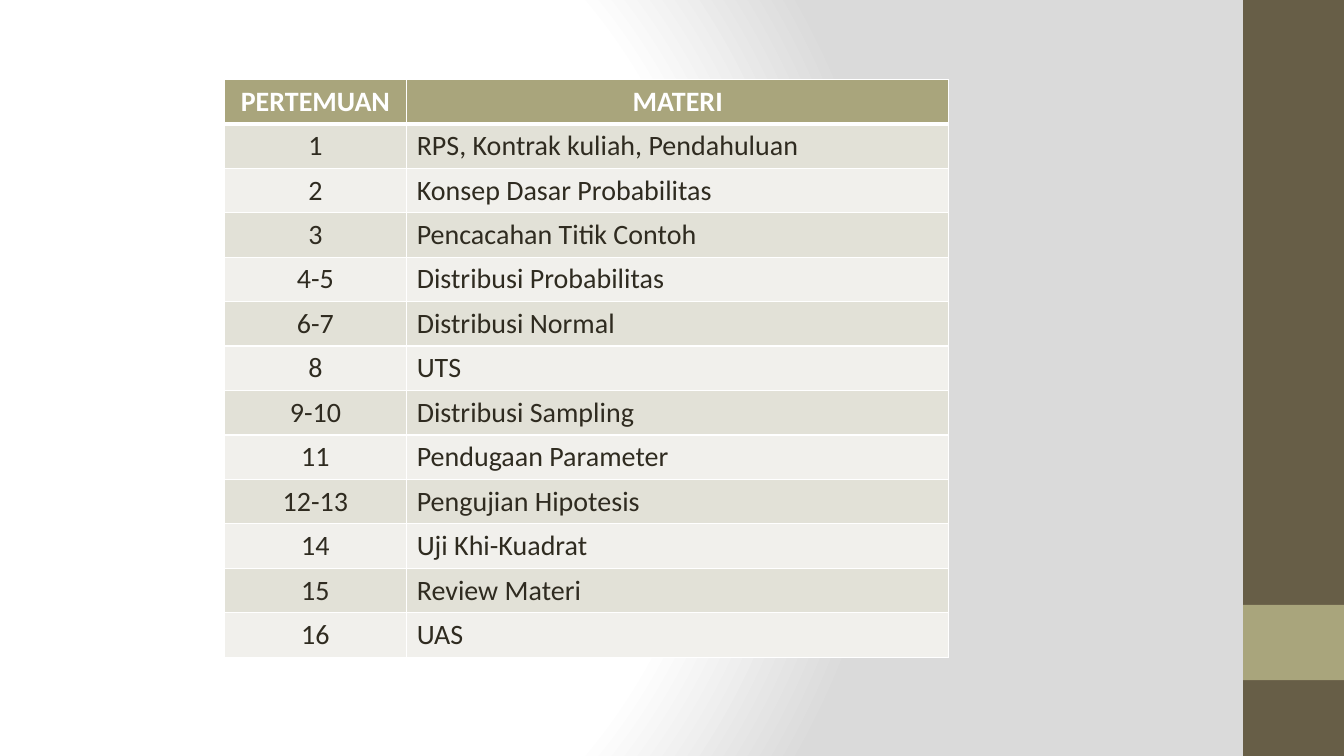
from dataclasses import dataclass

from lxml import etree
from pptx import Presentation
from pptx.dml.color import RGBColor
from pptx.enum.shapes import MSO_SHAPE
from pptx.enum.text import PP_ALIGN
from pptx.oxml import parse_xml
from pptx.oxml.ns import nsdecls, qn
from pptx.slide import Slide
from pptx.table import _Cell
from pptx.util import Cm, Pt

RECTANGLE = MSO_SHAPE.RECTANGLE
CENTER, LEFT = PP_ALIGN.CENTER, PP_ALIGN.LEFT

WHITE = RGBColor(0xFF, 0xFF, 0xFF)
GREY = RGBColor(0xDA, 0xDA, 0xDA)
BROWN = RGBColor(0x67, 0x5E, 0x47)
OLIVE = RGBColor(0xA9, 0xA5, 0x7C)
INK = RGBColor(0x2F, 0x2B, 0x20)
BANDS = (RGBColor(0xF1, 0xF0, 0xEC), RGBColor(0xE2, 0xE1, 0xD7))

FONT = "Calibri"
TEXT_SIZE = Pt(20)
THIN, THICK = Pt(1), Pt(3)

SLIDE_W, SLIDE_H = 33.87, 19.05
SIDEBAR_W = 2.54
TABLE_LEFT, TABLE_TOP = 5.65, 2.0
COL_WIDTHS = (4.6, 13.66)
ROW_H = 1.12


@dataclass
class Bar:
    top: float
    height: float
    color: RGBColor


@dataclass
class Meeting:
    number: str
    topic: str


BARS = [Bar(0, SLIDE_H, BROWN), Bar(15.24, 1.9, OLIVE)]

HEADER = Meeting("PERTEMUAN", "MATERI")
MEETINGS = [
    Meeting("1", "RPS, Kontrak kuliah, Pendahuluan"),
    Meeting("2", "Konsep Dasar Probabilitas"),
    Meeting("3", "Pencacahan Titik Contoh"),
    Meeting("4-5", "Distribusi Probabilitas"),
    Meeting("6-7", "Distribusi Normal"),
    Meeting("8", "UTS"),
    Meeting("9-10", "Distribusi Sampling"),
    Meeting("11", "Pendugaan Parameter"),
    Meeting("12-13", "Pengujian Hipotesis"),
    Meeting("14", "Uji Khi-Kuadrat"),
    Meeting("15", "Review Materi"),
    Meeting("16", "UAS"),
]


def set_radial_background(s: Slide) -> None:
    s.background.fill.gradient()
    old = s.element.find(".//" + qn("a:gradFill"))
    stops = "".join(
        f'<a:gs pos="{pos * 1000}"><a:srgbClr val="{color}"/></a:gs>'
        for pos, color in ((0, WHITE), (75, WHITE), (100, GREY))
    )
    new = parse_xml(
        f'<a:gradFill {nsdecls("a")} rotWithShape="1"><a:gsLst>{stops}</a:gsLst>'
        '<a:path path="circle">'
        '<a:fillToRect l="20000" t="50000" r="100000" b="50000"/>'
        "</a:path></a:gradFill>"
    )
    old.getparent().replace(old, new)


def add_bar(s: Slide, bar: Bar) -> None:
    sp = s.shapes.add_shape(
        RECTANGLE, Cm(SLIDE_W - SIDEBAR_W), Cm(bar.top), Cm(SIDEBAR_W), Cm(bar.height)
    )
    sp.shadow.inherit = False
    sp.fill.solid()
    sp.fill.fore_color.rgb = bar.color
    sp.line.fill.background()


def set_borders(cell: _Cell, top: int, bottom: int) -> None:
    tc_pr = cell._tc.get_or_add_tcPr()
    sides = (("a:lnL", THIN), ("a:lnR", THIN), ("a:lnT", top), ("a:lnB", bottom))
    for i, (tag, width) in enumerate(sides):
        ln = etree.Element(qn(tag), w=str(width))
        fill = etree.SubElement(ln, qn("a:solidFill"))
        etree.SubElement(fill, qn("a:srgbClr"), val=str(WHITE))
        tc_pr.insert(i, ln)


def fill_cell(cell: _Cell, text: str, row: int, col: int) -> None:
    is_header = row == 0
    cell.fill.solid()
    cell.fill.fore_color.rgb = OLIVE if is_header else BANDS[row % 2]
    set_borders(cell, THICK if row == 1 else THIN, THICK if is_header else THIN)
    p = cell.text_frame.paragraphs[0]
    p.text = text
    p.alignment = CENTER if is_header or col == 0 else LEFT
    font = p.runs[0].font
    font.name, font.size, font.bold = FONT, TEXT_SIZE, is_header
    font.color.rgb = WHITE if is_header else INK


def add_schedule(s: Slide) -> None:
    rows = [HEADER, *MEETINGS]
    table = s.shapes.add_table(
        len(rows), len(COL_WIDTHS), Cm(TABLE_LEFT), Cm(TABLE_TOP),
        Cm(sum(COL_WIDTHS)), Cm(ROW_H * len(rows)),
    ).table
    for column, width in zip(table.columns, COL_WIDTHS):
        column.width = Cm(width)
    for i, meeting in enumerate(rows):
        table.rows[i].height = Cm(ROW_H)
        for j, text in enumerate((meeting.number, meeting.topic)):
            fill_cell(table.cell(i, j), text, i, j)


def main() -> None:
    prs = Presentation()
    prs.slide_width, prs.slide_height = Cm(SLIDE_W), Cm(SLIDE_H)
    s = prs.slides.add_slide(prs.slide_layouts[6])
    set_radial_background(s)
    for bar in BARS:
        add_bar(s, bar)
    add_schedule(s)
    prs.save("out.pptx")


if __name__ == "__main__":
    main()
